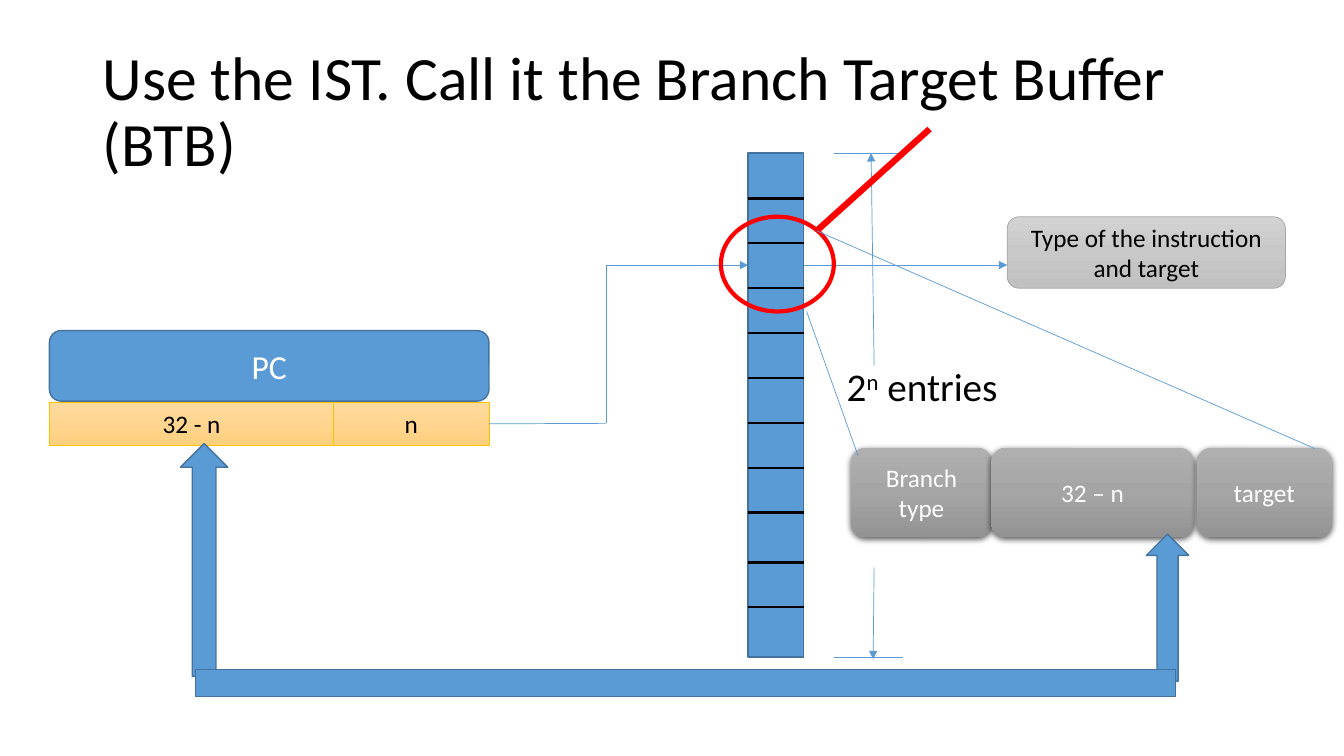
import copy
import pptx
import pptx.dml.color
import pptx.enum.shapes
import pptx.enum.text
import pptx.oxml
import pptx.oxml.ns
import pptx.util
from dataclasses import dataclass

Inches = pptx.util.Inches
Pt = pptx.util.Pt
RGB = pptx.dml.color.RGBColor.from_string
SHAPE = pptx.enum.shapes.MSO_SHAPE
ALIGN = pptx.enum.text.PP_ALIGN
MIDDLE = pptx.enum.text.MSO_ANCHOR.MIDDLE
NS = pptx.oxml.ns.nsdecls("a")


@dataclass(frozen=True)
class Theme:
    font: str = "Calibri"
    black: str = "000000"
    white: str = "FFFFFF"
    blue: str = "5B9BD5"
    blue_edge: str = "43739E"
    gold_edge: str = "FFC000"
    grey_edge: str = "A5A5A5"
    red: str = "FF0000"
    gold: tuple = ("FFDB9E", "FFD590", "FFD07C")
    light: tuple = ("D2D2D2", "C8C8C8", "C0C0C0")
    grey: tuple = ("AFAFAF", "A5A5A5", "939393")
    title: int = 44
    entries: int = 28
    register: int = 24
    label: int = 18


T = Theme()


def apply(obj, values):
    for name, value in values.items():
        setattr(obj, name, value)


def style_font(font, size, color):
    apply(font, {"name": T.font, "size": Pt(size)})
    font.color.rgb = RGB(color)


def paint(sp, fill):
    if fill is None:
        sp.fill.background()
    elif isinstance(fill, str):
        sp.fill.solid()
        sp.fill.fore_color.rgb = RGB(fill)
    else:
        sp.fill.gradient()
        sp.fill.gradient_angle = 270
        stops = sp.element.spPr.xpath(".//a:gsLst")[0]
        stops.append(copy.deepcopy(stops[0]))
        for i, (stop, color) in enumerate(zip(sp.fill.gradient_stops, fill)):
            stop.position = i / 2
            stop.color.rgb = RGB(color)


def add_box(s, kind, box, fill, edge=None, width=1, text="", size=T.label, color=T.black):
    sp = s.shapes.add_shape(kind, *map(Inches, box))
    sp.shadow.inherit = False
    paint(sp, fill)
    if edge:
        sp.line.color.rgb = RGB(edge)
        sp.line.width = Pt(width)
    else:
        sp.line.fill.background()
    if text:
        tf = sp.text_frame
        apply(tf, {"word_wrap": True, "vertical_anchor": MIDDLE})
        tf.text = text
        for p in tf.paragraphs:
            p.alignment = ALIGN.CENTER
            style_font(p.font, size, color)
    return sp


def add_line(s, start, end, color=T.blue, width=0.5, arrow=False):
    cx = s.shapes.add_connector(pptx.enum.shapes.MSO_CONNECTOR.STRAIGHT,
                                *map(Inches, (*start, *end)))
    cx.line.color.rgb = RGB(color)
    cx.line.width = Pt(width)
    if arrow:
        cx.line._get_or_add_ln().append(
            pptx.oxml.parse_xml(f'<a:tailEnd {NS} type="triangle"/>'))
    cx.element.spPr.append(pptx.oxml.parse_xml(f"<a:effectLst {NS}/>"))
    return cx


def add_title(s, box):
    sp = s.shapes.title
    apply(sp, dict(zip(("left", "top", "width", "height"), map(Inches, box))))
    tf = sp.text_frame
    tf.text = "Use the IST. Call it the Branch Target Buffer (BTB)"
    apply(tf, {"word_wrap": True, "vertical_anchor": MIDDLE})
    p = tf.paragraphs[0]
    apply(p, {"alignment": ALIGN.LEFT, "line_spacing": 0.9})
    style_font(p.font, T.title, T.black)


def add_pc(s, box):
    x, y, w, h = box
    add_box(s, SHAPE.ROUNDED_RECTANGLE, (x, y, w, 0.7), T.blue, T.blue_edge,
            text="PC", size=T.register, color=T.white)
    tag_w = 2.82
    fields = (("32 - n", x, tag_w), ("n", x + tag_w, w - tag_w))
    for text, left, width in fields:
        index = add_box(s, SHAPE.RECTANGLE, (left, y + 0.71, width, h - 0.71),
                        T.gold, T.gold_edge, 0.5, text)
    return index


def add_buffer(s, box):
    x, y, w, h = box
    add_box(s, SHAPE.RECTANGLE, box, T.blue, T.blue_edge)
    for i in range(10):
        row = y + 0.45 + 0.445 * i + (0.05 if i > 7 else 0)
        add_line(s, (x, row), (x + w, row), T.black, 1.5)


def add_lookup(s, index, box):
    x, y, w, h = box
    bend = x + 1.16
    cx = add_line(s, (x, y + h), (bend, y + h))
    cx.begin_connect(index, 3)
    add_line(s, (bend, y + h), (bend, y))
    add_line(s, (bend, y), (x + w, y), arrow=True)


def add_result(s, box, start):
    add_box(s, SHAPE.ROUNDED_RECTANGLE, box, T.light, T.grey_edge, 0.5,
            "Type of the instruction\nand target")
    add_line(s, start, (box[0], start[1]), arrow=True)


def add_depth(s, box):
    x, y, w, h = box
    for edge in (y, y + h):
        add_line(s, (x, edge), (x + w, edge))
    add_line(s, (x + 0.4, y + 2.11), (x + 0.37, y), arrow=True)
    add_line(s, (x + 0.4, y + 4.11), (x + 0.39, y + h + 0.02), arrow=True)
    sp = s.shapes.add_textbox(*map(Inches, (x + 0.03, y + 2.03, 1.73, 0.57)))
    tf = sp.text_frame
    apply(tf, {"word_wrap": False,
               "auto_size": pptx.enum.text.MSO_AUTO_SIZE.SHAPE_TO_FIT_TEXT})
    for text in ("2", "n", " entries"):
        r = tf.paragraphs[0].add_run()
        r.text = text
        style_font(r.font, T.entries, T.black)
        if text == "n":
            r._r.get_or_add_rPr().set("baseline", "30000")


def add_marker(s, box):
    x, y, w, h = box
    add_box(s, SHAPE.OVAL, box, None, T.red, 3)
    add_line(s, (x + 0.95, y + 0.14), (x + 2.07, y - 0.87), T.red, 4.5)


def add_record(s, box):
    x, y, w, h = box
    fields = (("Branch type", 0, 1.4), ("32 – n", 1.39, 2.01), ("target", 3.43, 1.34))
    for text, offset, width in fields:
        sp = add_box(s, SHAPE.ROUNDED_RECTANGLE, (x + offset, y, width, h), T.grey,
                     text=text, color=T.white)
        sp.element.spPr.xpath("a:effectLst")[0].append(pptx.oxml.parse_xml(
            f'<a:outerShdw {NS} blurRad="57150" dist="19050" dir="5400000" algn="ctr" '
            f'rotWithShape="0"><a:srgbClr val="{T.black}"><a:alpha val="63000"/>'
            '</a:srgbClr></a:outerShdw>'))
    add_line(s, (8.1, 2.29), (x + w - 0.17, y + 0.01))
    add_line(s, (8, 3.09), (x + 0.07, y + 0.08))


def add_compare(s, box):
    x, y, w, h = box
    parts = ((SHAPE.UP_ARROW, (x, y, 0.47, 2.31)),
             (SHAPE.UP_ARROW, (x + w - 0.42, y + 0.9, 0.42, 1.46)),
             (SHAPE.RECTANGLE, (x + 0.15, y + h - 0.27, w - 0.28, 0.27)))
    for kind, part in parts:
        add_box(s, kind, part, T.blue, T.blue_edge)


def main():
    prs = pptx.Presentation()
    apply(prs, {"slide_width": Inches(13.33), "slide_height": Inches(7.5)})
    s = prs.slides.add_slide(prs.slide_layouts[5])
    add_title(s, (0.92, 0.4, 11.5, 1.45))
    index = add_pc(s, (0.49, 3.28, 4.36, 1.14))
    add_buffer(s, (7.42, 1.52, 0.55, 5))
    add_lookup(s, index, (4.85, 2.63, 2.57, 1.57))
    add_result(s, (9.99, 2.15, 2.76, 0.71), (7.97, 2.63))
    add_depth(s, (8.27, 1.52, 0.69, 5))
    add_marker(s, (7.15, 2.15, 1.12, 0.94))
    add_record(s, (8.44, 4.44, 4.77, 0.89))
    add_compare(s, (1.79, 4.4, 10, 2.51))
    prs.save("out.pptx")


if __name__ == "__main__":
    main()
